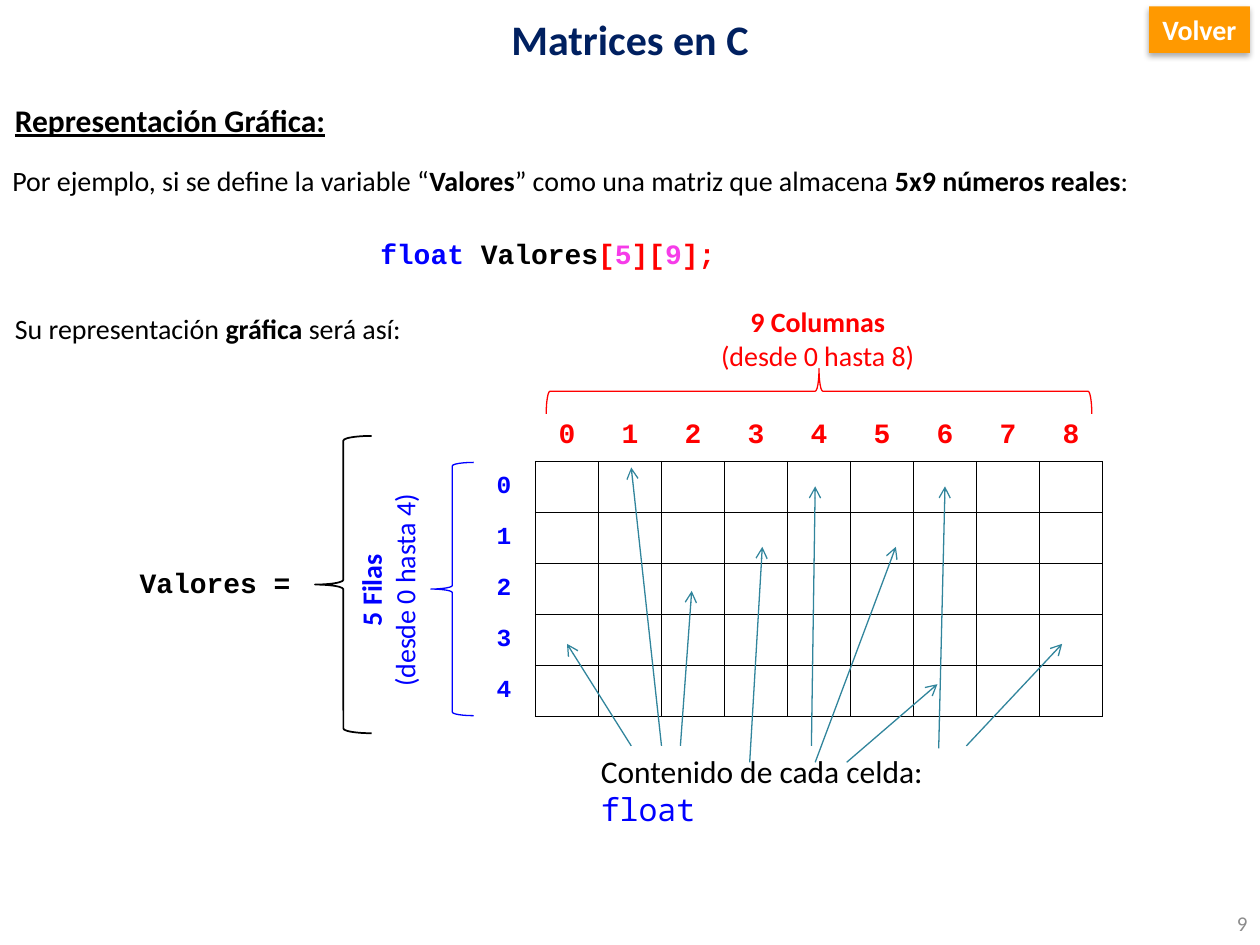
from lxml.etree import SubElement
from pptx import Presentation
from pptx.dml.color import RGBColor
from pptx.enum.shapes import MSO_CONNECTOR, MSO_SHAPE
from pptx.enum.text import MSO_ANCHOR, PP_ALIGN
from pptx.oxml import parse_xml
from pptx.oxml.ns import nsdecls, qn
from pptx.util import Inches, Pt

BLACK, RED, BLUE, PINK, WHITE = "000000", "FF0000", "0000FF", "F63CE9", "FFFFFF"
NAVY, GRAY, TEAL, ORANGE = "002060", "8C8C8C", "31859C", "FF9900"
CENTER, RIGHT, JUSTIFY = PP_ALIGN.CENTER, PP_ALIGN.RIGHT, PP_ALIGN.JUSTIFY
BODY = {"name": "Calibri", "size": Pt(16), "bold": False}
STRONG = {**BODY, "bold": True}
CODE = {**STRONG, "name": "Courier New"}


def rgb(value):
    return RGBColor.from_string(value)


def write(frame, lines, align=None, after=0):
    for number, pieces in enumerate(lines):
        paragraph = frame.add_paragraph() if number else frame.paragraphs[0]
        paragraph.alignment = align
        paragraph.space_after = Pt(after)
        for words, values, color in pieces:
            run = paragraph.add_run()
            run.text = words
            run.font.color.rgb = rgb(color)
            for attribute, value in values.items():
                setattr(run.font, attribute, value)


deck = Presentation()
deck.slide_width, deck.slide_height = Inches(10), Inches(7.5)
slide = deck.slides.add_slide(deck.slide_layouts[5])
shapes = slide.shapes

title = shapes.title
title_place = {"left": 0.02, "top": 0, "width": 9.96, "height": 0.62}
for attribute, value in title_place.items():
    setattr(title, attribute, Inches(value))
title.text_frame.vertical_anchor = MSO_ANCHOR.MIDDLE
write(title.text_frame, [[("Matrices en C", {**STRONG, "size": Pt(24)}, NAVY)]], CENTER)

texts = [
    ((0.02, 0.75, 3.23, 0.4), True, None, 6, [[
        ("Representación Gráfica:", {**STRONG, "size": Pt(18), "underline": True}, BLACK)]]),
    ((2.92, 1.83, 3.47, 0.37), True, None, 6, [[
        ("float ", CODE, BLUE), ("Valores", CODE, BLACK), ("[", CODE, RED),
        ("5", CODE, PINK), ("][", CODE, RED), ("9", CODE, PINK), ("];", CODE, RED)]]),
    ((0, 1.25, 10, 0.37), True, JUSTIFY, 0, [[
        ("Por ejemplo, si se define la variable “", BODY, BLACK),
        ("Valores", STRONG, BLACK),
        ("” como una matriz que almacena ", BODY, BLACK),
        ("5x9 números reales", STRONG, BLACK), (":", BODY, BLACK)]]),
    ((0.02, 2.42, 3.28, 0.37), False, None, 0, [[
        ("Su representación ", BODY, BLACK), ("gráfica ", STRONG, BLACK),
        ("será así:", BODY, BLACK)]]),
    ((7.67, 7.13, 2.33, 0.4), True, RIGHT, 0, [[("9", {**BODY, "size": Pt(12)}, GRAY)]]),
    ((1.01, 4.44, 1.58, 0.37), True, None, 6, [[("Valores = ", CODE, BLACK)]]),
    ((5.6, 2.37, 1.78, 0.64), False, CENTER, 0, [
        [("9 Columnas", STRONG, RED)], [("(desde 0 hasta 8)", BODY, RED)]]),
    ((2.76, 3.86, 0.74, 1.65), False, CENTER, 0, [
        [("5 Filas", STRONG, BLUE)], [("(desde 0 hasta 4)", BODY, BLUE)]]),
]
for place, wrap, align, after, lines in texts:
    frame = shapes.add_textbox(*map(Inches, place)).text_frame
    frame.word_wrap = wrap
    frame.vertical_anchor = MSO_ANCHOR.MIDDLE if align == RIGHT else MSO_ANCHOR.TOP
    write(frame, lines, align, after)
    if lines[0][0][0] == "5 Filas":
        frame._txBody.bodyPr.set("vert", "vert270")

row_count, column_count = 6, 10
matrix = shapes.add_table(row_count, column_count, Inches(3.75), Inches(3.26),
                          Inches(5), Inches(2.43)).table
matrix.first_row = matrix.horz_banding = False
for row in range(row_count):
    for column in range(column_count):
        cell = matrix.cell(row, column)
        cell.vertical_anchor = MSO_ANCHOR.MIDDLE
        if row == 0 and column:
            edges = "B"
            write(cell.text_frame, [[(str(column - 1), CODE, RED)]], CENTER)
        elif row and column == 0:
            edges = "R"
            write(cell.text_frame, [[(str(row - 1), {**CODE, "size": Pt(14)}, BLUE)]], CENTER)
        else:
            edges = "LRTB" if row else ""
        properties = cell._tc.get_or_add_tcPr()
        for edge in "LRTB":
            border = SubElement(properties, qn(f"a:ln{edge}"), w=str(Pt(1)))
            if edge in edges:
                SubElement(SubElement(border, qn("a:solidFill")), qn("a:srgbClr"), val=BLACK)
            else:
                SubElement(border, qn("a:noFill"))
        cell.fill.background()

contents = shapes.add_group_shape().shapes
caption = contents.add_textbox(Inches(4.67), Inches(5.92), Inches(3.3), Inches(0.4)).text_frame
caption.word_wrap = True
write(caption, [[
    ("Contenido de cada celda: ", {**BODY, "size": Pt(18)}, BLACK),
    ("float", {**BODY, "name": "Noto Sans Mono", "size": Pt(18)}, BLUE)]])
arrows = [
    (5.01, 5.92, 4.5, 5.11), (5.25, 5.92, 5.01, 3.71), (5.4, 5.92, 5.49, 4.69),
    (5.95, 6.05, 6.05, 4.34), (6.44, 5.92, 6.47, 3.86), (6.47, 6.05, 7.11, 4.34),
    (6.72, 6.05, 7.44, 5.43), (7.45, 5.94, 7.5, 3.86), (7.67, 5.92, 8.43, 5.11),
]
for ends in arrows:
    arrow = contents.add_connector(MSO_CONNECTOR.STRAIGHT, *map(Inches, ends))
    arrow.line.color.rgb = rgb(TEAL)
    arrow.line.width = Pt(0.75)
    SubElement(arrow.line._get_or_add_ln(), qn("a:tailEnd"), type="arrow")
    SubElement(arrow._element.spPr, qn("a:effectLst"))

braces = [
    ((2.5, 3.46, 0.45, 2.36), 0, BLACK, 1),
    ((3.42, 3.67, 0.34, 2.01), 0, BLUE, 0.75),
    ((6.32, 0.94, 0.36, 4.33), 90, RED, 0.75),
]
for place, turn, color, weight in braces:
    brace = shapes.add_shape(MSO_SHAPE.LEFT_BRACE, *map(Inches, place))
    brace.rotation = turn
    brace.shadow.inherit = False
    brace.fill.background()
    brace.line.color.rgb = rgb(color)
    brace.line.width = Pt(weight)

button = shapes.add_shape(MSO_SHAPE.RECTANGLE, Inches(9.12), Inches(0.05),
                          Inches(0.8), Inches(0.37))
button.fill.solid()
button.fill.fore_color.rgb = rgb(ORANGE)
button.line.fill.background()
button.shadow.inherit = False
button._element.spPr.find(qn("a:effectLst")).append(parse_xml(
    f'<a:outerShdw {nsdecls("a")} blurRad="{Pt(3.5)}" dist="{Pt(2.2)}" dir="5400000" '
    f'rotWithShape="0"><a:srgbClr val="{BLACK}"><a:alpha val="32000"/></a:srgbClr>'
    '</a:outerShdw>'))
button.text_frame.word_wrap = False
button.text_frame.vertical_anchor = MSO_ANCHOR.MIDDLE
write(button.text_frame, [[("Volver", STRONG, WHITE)]], CENTER)

deck.save("out.pptx")
